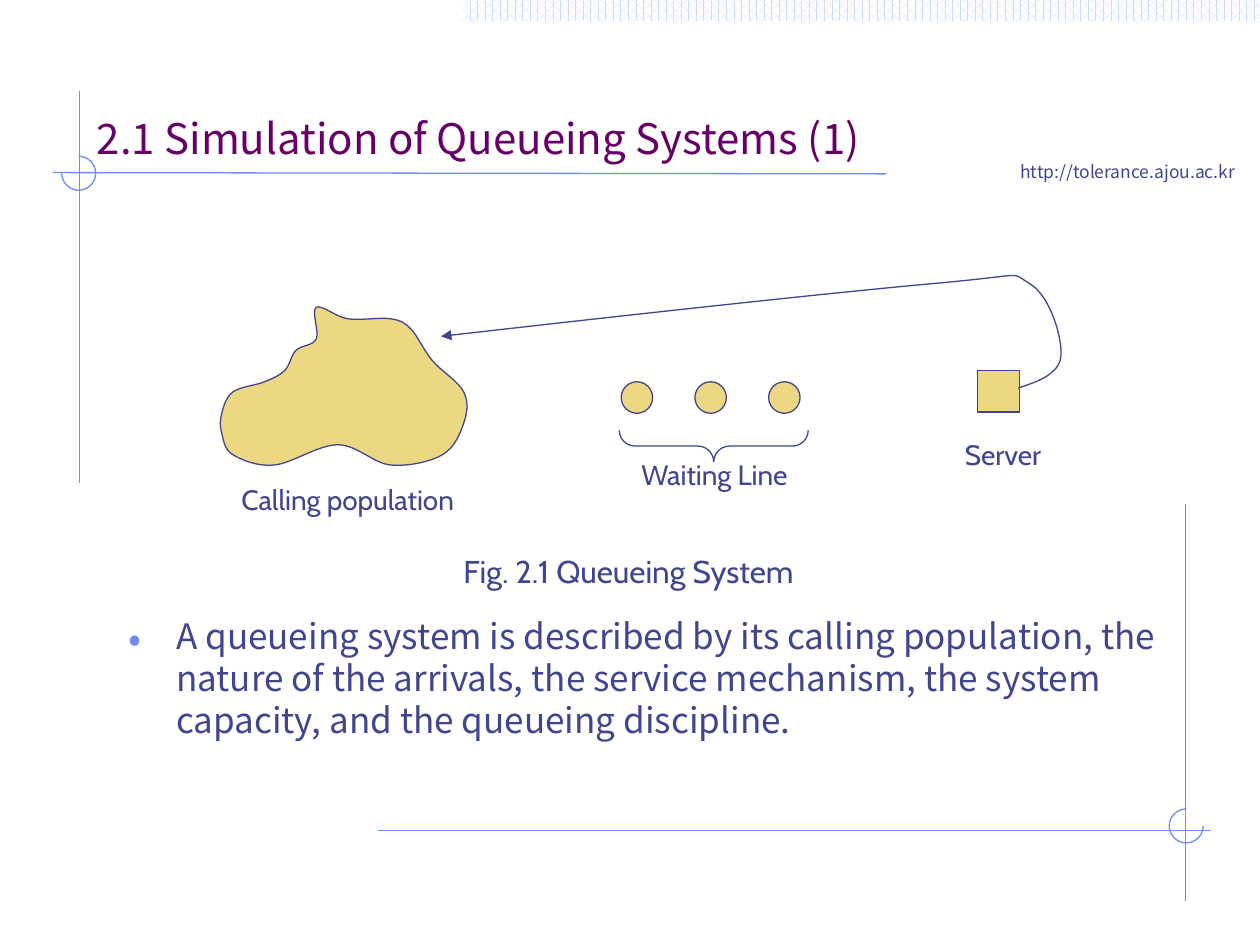
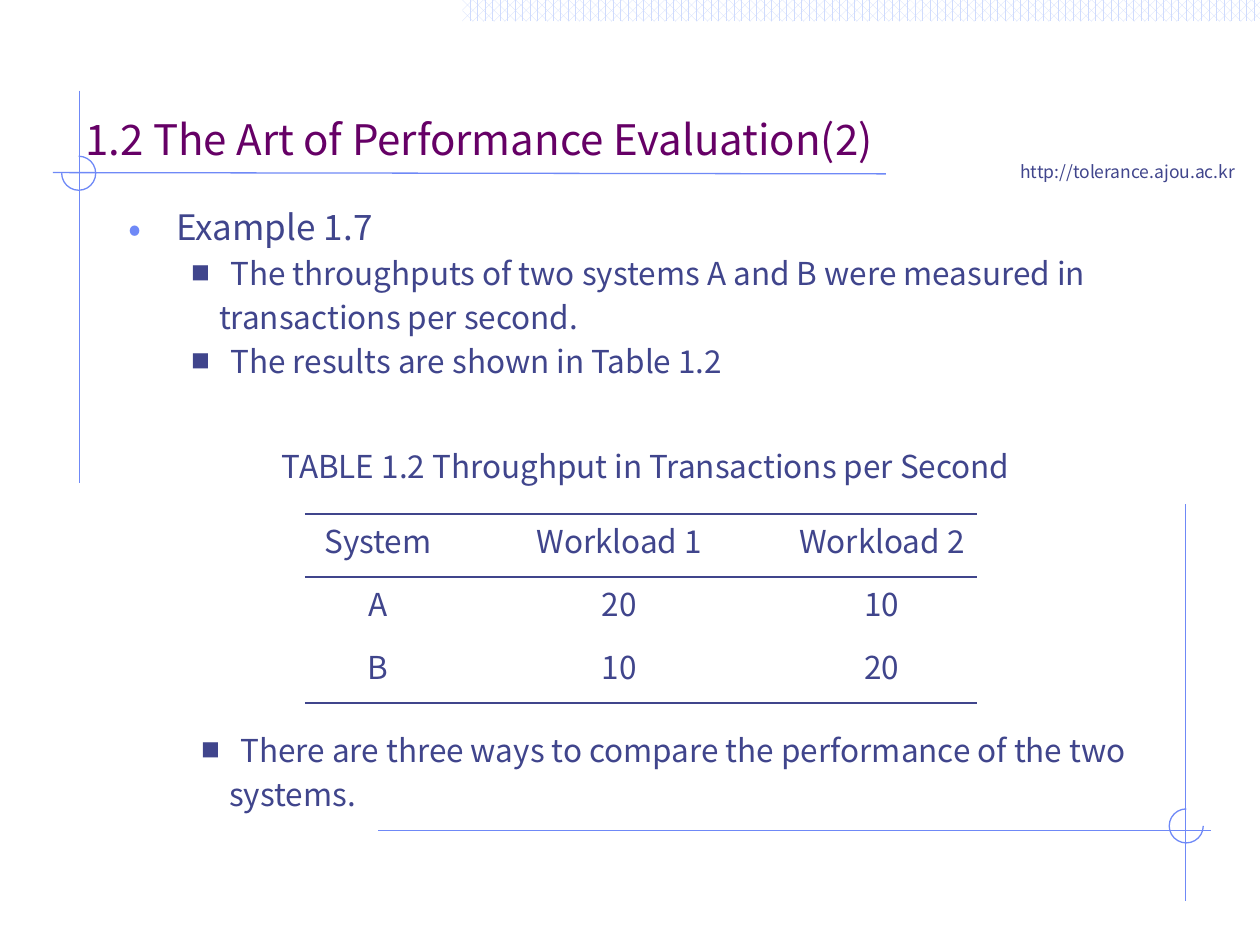
"""Build two lecture slides on queueing systems and performance evaluation."""
import lxml.etree
import pptx
import pptx.dml.color
import pptx.enum.dml
import pptx.enum.shapes
import pptx.enum.text
import pptx.oxml.ns
import pptx.util

Inches = pptx.util.Inches
Pt = pptx.util.Pt
RGBColor = pptx.dml.color.RGBColor
SHAPE = pptx.enum.shapes.MSO_SHAPE
ALIGN = pptx.enum.text.PP_ALIGN
ANCHOR = pptx.enum.text.MSO_ANCHOR
qn = pptx.oxml.ns.qn
add = lxml.etree.SubElement

INK = RGBColor(0x40, 0x45, 0x8C)
PLUM = RGBColor(0x66, 0x00, 0x66)
BLUE = RGBColor(0x6F, 0x89, 0xF7)
PALE = RGBColor(0xCF, 0xDB, 0xFD)
SAND = RGBColor(0xEC, 0xD8, 0x82)
WHITE = RGBColor(0xFF, 0xFF, 0xFF)
NOTO = "Noto Sans CJK KR"
CABIN = "Cabin"
THIN = Pt(0.75)

LEVELS = {
    "plain": (0, 0, None, None, None),
    "dot": (0.38, -0.38, "•", BLUE, 110),
    "square": (0.81, -0.31, "■", INK, 60),
    "tail": (0.72, 0, None, None, None),
}


def write(frame, lines, size=18, font=NOTO, color=INK, align=ALIGN.LEFT,
          anchor=ANCHOR.TOP, wrap=True):
    """Fill a text frame with (text, level, size) lines or one plain string."""
    if isinstance(lines, str):
        lines = [(lines, "plain", size)]
    frame.word_wrap = wrap
    frame.vertical_anchor = anchor
    for i, (words, level, points) in enumerate(lines):
        para = frame.add_paragraph() if i else frame.paragraphs[0]
        left, indent, mark, tint, scale = LEVELS[level]
        para.alignment = align
        if i:
            para.space_before = Pt(points * 0.2)
        props = para._p.get_or_add_pPr()
        props.set("marL", str(Inches(left)))
        props.set("indent", str(Inches(indent)))
        if mark:
            add(add(props, qn("a:buClr")), qn("a:srgbClr"), val=str(tint))
            add(props, qn("a:buSzPct"), val=str(scale * 1000))
            add(props, qn("a:buFont"), typeface=font)
            add(props, qn("a:buChar"), char=mark)
        run = para.add_run()
        run.text = words
        run.font.size = Pt(points)
        run.font.name = font
        run.font.color.rgb = color


def spline(slide, knots, close):
    """Draw a smooth curve from the second knot to the last but one."""
    dots = []
    for a, b, c, d in zip(knots, knots[1:], knots[2:], knots[3:]):
        dots.append([Inches(q + (r - p) / 6) for p, q, r in zip(a, b, c)])
        dots.append([Inches(r - (s - q) / 6) for q, r, s in zip(b, c, d)])
        dots.append([Inches(v) for v in c])
    start = [Inches(v) for v in knots[1]]
    pen = slide.shapes.build_freeform(*start, scale=1.0)
    pen.add_line_segments(dots, close=close)
    shape = pen.convert_to_shape()
    lines = list(shape._element.iter(qn("a:lnTo")))
    for i in range(0, len(lines), 3):
        curve = lxml.etree.Element(qn("a:cubicBezTo"))
        lines[i].addprevious(curve)
        for line in lines[i:i + 3]:
            curve.append(line[0])
            line.getparent().remove(line)
    shape.shadow.inherit = False
    shape.line.color.rgb = INK
    shape.line.width = THIN
    return shape


deck = pptx.Presentation()
deck.slide_width = Inches(10)
deck.slide_height = Inches(7.5)

TITLES = [
    ("2.1 Simulation of Queueing Systems (1)", (0.67, 0.67, 7.5, 0.67)),
    ("1.2 The Art of Performance Evaluation(2)", (0.58, 0.68, 8.08, 0.67)),
]
FRAME = [
    (3, 6.59, 9.61, 6.59),
    (9.41, 4, 9.41, 7.15),
    (0.63, 0.72, 0.63, 3.83),
    (7.03, 1.38, 0.42, 1.37),
]
BARS = [(2.42, y, 7.75, y) for y in (4.08, 4.58, 5.58)]
ARCS = [(9.28, 6.42, 0, 162), (0.49, 1.24, 162, 108)]

for title, place in TITLES:
    slide = deck.slides.add_slide(deck.slide_layouts[6])
    band = slide.shapes.add_shape(
        SHAPE.RECTANGLE, Inches(3.67), 0, Inches(6.33), Inches(0.17))
    band.shadow.inherit = False
    band.line.fill.background()
    band.fill.patterned()
    band.fill.pattern = pptx.enum.dml.MSO_PATTERN.PERCENT_60
    band.fill.fore_color.rgb = PALE
    band.fill.back_color.rgb = WHITE
    for left, top, start, end in ARCS:
        arc = slide.shapes.add_shape(
            SHAPE.ARC, Inches(left), Inches(top), Inches(0.27), Inches(0.27))
        arc.adjustments[0] = start
        arc.adjustments[1] = end
        arc.shadow.inherit = False
        arc.fill.background()
        arc.line.color.rgb = BLUE
        arc.line.width = THIN
    link = slide.shapes.add_textbox(
        Inches(8), Inches(1.23), Inches(1.9), Inches(0.27))
    write(link.text_frame, "http://tolerance.ajou.ac.kr", size=10, wrap=False)
    head = slide.shapes.add_textbox(*[Inches(v) for v in place])
    write(head.text_frame, title, size=24, color=PLUM, anchor=ANCHOR.BOTTOM)

queue, study = deck.slides

for slide, rules, color in [(queue, FRAME, BLUE), (study, FRAME, BLUE),
                            (study, BARS, INK)]:
    for ends in rules:
        rule = slide.shapes.add_connector(
            pptx.enum.shapes.MSO_CONNECTOR.STRAIGHT, *[Inches(v) for v in ends])
        rule.line.color.rgb = color
        rule.line.width = THIN
        add(rule._element.spPr, qn("a:effectLst"))

crowd = [
    (2.51, 2.69), (2.35, 2.78), (2.26, 2.94), (2.1, 3.03), (1.85, 3.11),
    (1.76, 3.28), (1.76, 3.44), (1.85, 3.61), (2.18, 3.69), (2.68, 3.53),
    (3.1, 3.69), (3.51, 3.61), (3.68, 3.36), (3.68, 3.11), (3.43, 2.86),
    (3.26, 2.61), (3.1, 2.53), (2.76, 2.53), (2.51, 2.44),
]
cloud = spline(queue, crowd[-1:] + crowd + crowd[:2], True)
cloud.fill.solid()
cloud.fill.fore_color.rgb = SAND

nodes = [(SHAPE.OVAL, 4.93 + 0.585 * i, 3.03, 0.25) for i in range(3)]
nodes.append((SHAPE.RECTANGLE, 7.76, 2.94, 0.33))
for kind, left, top, side in nodes:
    node = queue.shapes.add_shape(
        kind, Inches(left), Inches(top), Inches(side), Inches(side))
    node.shadow.inherit = False
    node.fill.solid()
    node.fill.fore_color.rgb = SAND
    node.line.color.rgb = INK
    node.line.width = THIN

brace = queue.shapes.add_shape(
    SHAPE.LEFT_BRACE, Inches(5.54), Inches(2.79), Inches(0.25), Inches(1.5))
brace.rotation = 270
brace.adjustments[0] = 0.5
brace.shadow.inherit = False
brace.fill.background()
brace.line.color.rgb = INK
brace.line.width = THIN

route = [(7.46, 3.13), (8.08, 3.08), (8.42, 2.83), (8.17, 2.25),
         (7.42, 2.25), (3.5, 2.67), (-2, 3.33)]
loop = spline(queue, route, False)
loop.fill.background()
add(loop.line._get_or_add_ln(), qn("a:tailEnd"), type="triangle")

LABELS = [
    ("Calling population", 1.76, 3.78, 2, 0.37, 16, ALIGN.CENTER),
    ("Waiting Line", 4.67, 3.58, 2, 0.37, 16, ALIGN.CENTER),
    ("Server", 7.5, 3.42, 0.92, 0.37, 16, ALIGN.CENTER),
    ("Fig. 2.1 Queueing System", 3.58, 4.33, 3.17, 0.4, 18, ALIGN.LEFT),
]
for words, left, top, width, height, size, align in LABELS:
    label = queue.shapes.add_textbox(
        Inches(left), Inches(top), Inches(width), Inches(height))
    write(label.text_frame, words, size=size, font=CABIN, align=align)

BODIES = [
    (queue, (0.92, 4.83, 8.5, 1.58), [
        ("A queueing system is described by its calling population, the nature "
         "of the arrivals, the service mechanism, the system capacity, and the "
         "queueing discipline.", "dot", 20)]),
    (study, (0.92, 1.58, 8.5, 1.84), [
        ("Example 1.7", "dot", 20),
        ("The throughputs of two systems A and B were measured in", "square", 18),
        ("transactions per second.", "tail", 18),
        ("The results are shown in Table 1.2", "square", 18)]),
    (study, (1, 5.75, 8.5, 1), [
        ("There are three ways to compare the performance of the two",
         "square", 18),
        ("systems.", "tail", 18)]),
]
for slide, place, lines in BODIES:
    body = slide.shapes.add_textbox(*[Inches(v) for v in place])
    write(body.text_frame, lines)

name = study.shapes.add_textbox(
    Inches(2), Inches(3.5), Inches(6.25), Inches(0.4))
write(name.text_frame, "TABLE 1.2 Throughput in Transactions per Second",
      align=ALIGN.CENTER)

ROWS = [("System", "Workload 1", "Workload 2"),
        ("A", "20", "10"),
        ("B", "10", "20")]
grid = study.shapes.add_table(
    3, 3, Inches(2.42), Inches(4.08), Inches(5.33), Inches(1.5)).table
grid.first_row = False
grid.horz_banding = False
for col, width in zip(grid.columns, (1.16, 2.67, 1.5)):
    col.width = Inches(width)
for row, values in zip(grid.rows, ROWS):
    row.height = Inches(0.5)
    for cell, value in zip(row.cells, values):
        cell.margin_left = cell.margin_right = 0
        cell.margin_top = Inches(0.02)
        write(cell.text_frame, value, align=ALIGN.CENTER)
        props = cell._tc.get_or_add_tcPr()
        for side in ("a:lnL", "a:lnR", "a:lnT", "a:lnB"):
            add(add(props, qn(side)), qn("a:noFill"))
        cell.fill.background()

deck.save("out.pptx")
